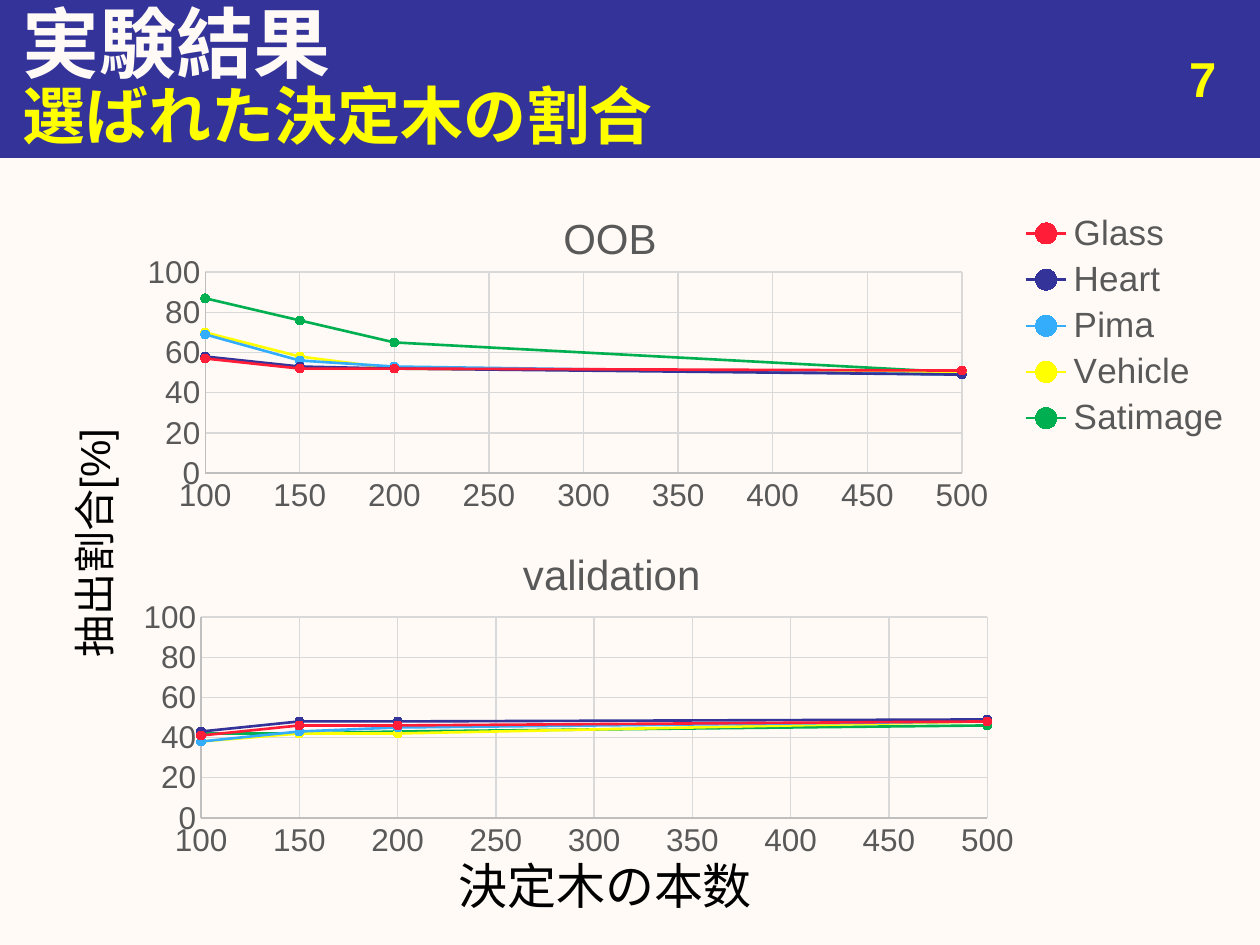
from lxml.etree import SubElement
from pptx import Presentation
from pptx.chart.data import XyChartData
from pptx.dml.color import RGBColor
from pptx.enum.chart import XL_CHART_TYPE, XL_LEGEND_POSITION, XL_MARKER_STYLE, XL_TICK_MARK
from pptx.enum.shapes import MSO_SHAPE
from pptx.enum.text import MSO_ANCHOR, PP_ALIGN
from pptx.oxml import parse_xml
from pptx.oxml.ns import nsdecls, qn
from pptx.util import Cm, Pt

NAVY, CREAM, YELLOW, BLACK = "333399", "FFFAF5", "FFFF00", "000000"
LABEL_GRAY, AXIS_GRAY, GRID_GRAY = "595959", "BFBFBF", "D9D9D9"
CJK_FONT = "Noto Sans CJK JP"

TREE_COUNTS = [100, 150, 200, 500]
DATASETS = [
    ("Glass", "FF1D38"),
    ("Heart", NAVY),
    ("Pima", "34ADFD"),
    ("Vehicle", YELLOW),
    ("Satimage", "00B050"),
]
PANELS = [
    {
        "title": "OOB",
        "box": (2.54, 3.23, 22.5, 7.26),
        "plot": (0.071, 0.311, 0.678, 0.558),
        "title_at": (0.385, 0.12),
        "legend": (0.8, 0.13, 0.19, 0.66),
        "ratios": [
            [57, 52, 52, 51],
            [58, 53, 52, 49],
            [69, 56, 53, 49],
            [70, 58, 52, 50],
            [87, 76, 65, 50],
        ],
    },
    {
        "title": "validation",
        "box": (2.54, 10.21, 18.26, 7.26),
        "plot": (0.083, 0.307, 0.868, 0.558),
        "title_at": (0.43, 0.093),
        "legend": None,
        "ratios": [
            [41, 46, 46, 48],
            [43, 48, 48, 49],
            [38, 43, 45, 48],
            [38, 42, 42, 48],
            [42, 42, 43, 46],
        ],
    },
]
TEXTS = [
    ("実験結果", (0.2, 0, 25.2, 1.7), 44, CREAM, True, PP_ALIGN.LEFT, 0),
    ("7", (18.85, 0.91, 5.92, 1.32), 28, YELLOW, True, PP_ALIGN.RIGHT, 0),
    ("選ばれた決定木の割合", (0.2, 1.5, 25.2, 1.6), 36, YELLOW, True, PP_ALIGN.LEFT, 0),
    ("抽出割合[%]", (-1.22, 10.31, 6.2, 1.27), 24, BLACK, False, PP_ALIGN.CENTER, 270),
    ("決定木の本数", (6.27, 17.12, 11.86, 1.45), 28, BLACK, False, PP_ALIGN.CENTER, 0),
]


def color(value):
    return RGBColor.from_string(value)


def style_font(font, size, hue, bold=False):
    font.name = "Arial"
    font.size = Pt(size)
    font.bold = bold
    font.color.rgb = color(hue)


def style_line(line, hue, width):
    line.color.rgb = color(hue)
    line.width = Pt(width)


def add_label(slide, wording, box, size, hue, bold, align, rotation):
    label = slide.shapes.add_textbox(*map(Cm, box))
    label.rotation = rotation
    frame = label.text_frame
    frame.text = wording
    frame.word_wrap = True
    frame.vertical_anchor = MSO_ANCHOR.MIDDLE
    paragraph = frame.paragraphs[0]
    paragraph.alignment = align
    run = paragraph.runs[0]
    style_font(run.font, size, hue, bold)
    SubElement(run.font._element, qn("a:ea")).set("typeface", CJK_FONT)


def place(part, position, inner=False):
    for old in part.findall(qn("c:layout")):
        part.remove(old)
    target = '<c:layoutTarget val="inner"/>' if inner else ""
    modes = "".join(f'<c:{axis}Mode val="edge"/>' for axis in "xy")
    values = "".join(f'<c:{key} val="{value}"/>' for key, value in zip("xywh", position))
    layout = parse_xml(
        f'<c:layout {nsdecls("c")}><c:manualLayout>{target}{modes}{values}'
        "</c:manualLayout></c:layout>"
    )
    overlay = part.find(qn("c:overlay"))
    if overlay is None:
        part.insert(0, layout)
    else:
        overlay.addprevious(layout)


def style_axis(axis, low, high, step):
    axis.minimum_scale, axis.maximum_scale, axis.major_unit = low, high, step
    axis.major_tick_mark = axis.minor_tick_mark = XL_TICK_MARK.NONE
    axis.has_major_gridlines = True
    style_line(axis.major_gridlines.format.line, GRID_GRAY, 0.75)
    style_line(axis.format.line, AXIS_GRAY, 0.75)
    style_font(axis.tick_labels.font, 18, LABEL_GRAY)
    axis.tick_labels.number_format = "General"
    axis.tick_labels.number_format_is_linked = False


def add_panel(slide, panel):
    data = XyChartData()
    for (name, _), ratios in zip(DATASETS, panel["ratios"]):
        series = data.add_series(name)
        for count, ratio in zip(TREE_COUNTS, ratios):
            series.add_data_point(count, ratio)
    chart = slide.shapes.add_chart(
        XL_CHART_TYPE.XY_SCATTER_LINES, *map(Cm, panel["box"]), data
    ).chart
    style_font(chart.font, 10, BLACK)

    chart.has_title = True
    title = chart.chart_title
    title.text_frame.text = panel["title"]
    style_font(title.text_frame.paragraphs[0].runs[0].font, 24, LABEL_GRAY)
    place(title._element, panel["title_at"])

    chart.has_legend = panel["legend"] is not None
    if chart.has_legend:
        chart.legend.position = XL_LEGEND_POSITION.RIGHT
        chart.legend.include_in_layout = False
        style_font(chart.legend.font, 20, LABEL_GRAY)
        place(chart.legend._element, panel["legend"])

    style_axis(chart.category_axis, 100, 500, 50)
    style_axis(chart.value_axis, 0, 100, 20)
    plot = chart.plots[0]
    plot.vary_by_categories = False
    place(plot._element.getparent(), panel["plot"], inner=True)

    for series, (_, hue) in zip(plot.series, DATASETS):
        series.smooth = False
        style_line(series.format.line, hue, 1.5)
        series.marker.style = XL_MARKER_STYLE.CIRCLE
        series.marker.size = 5
        series.marker.format.fill.solid()
        series.marker.format.fill.fore_color.rgb = color(hue)
        style_line(series.marker.format.line, hue, 0.75)


def main():
    deck = Presentation()
    deck.slide_width, deck.slide_height = Cm(25.4), Cm(19.05)
    slide = deck.slides.add_slide(deck.slide_layouts[6])
    slide.background.fill.solid()
    slide.background.fill.fore_color.rgb = color(CREAM)

    banner = slide.shapes.add_shape(MSO_SHAPE.RECTANGLE, 0, 0, deck.slide_width, Cm(3.18))
    banner.shadow.inherit = False
    banner.fill.solid()
    banner.fill.fore_color.rgb = color(NAVY)
    style_line(banner.line, NAVY, 0.75)

    for panel in PANELS:
        add_panel(slide, panel)
    for text in TEXTS:
        add_label(slide, *text)
    deck.save("out.pptx")


if __name__ == "__main__":
    main()
